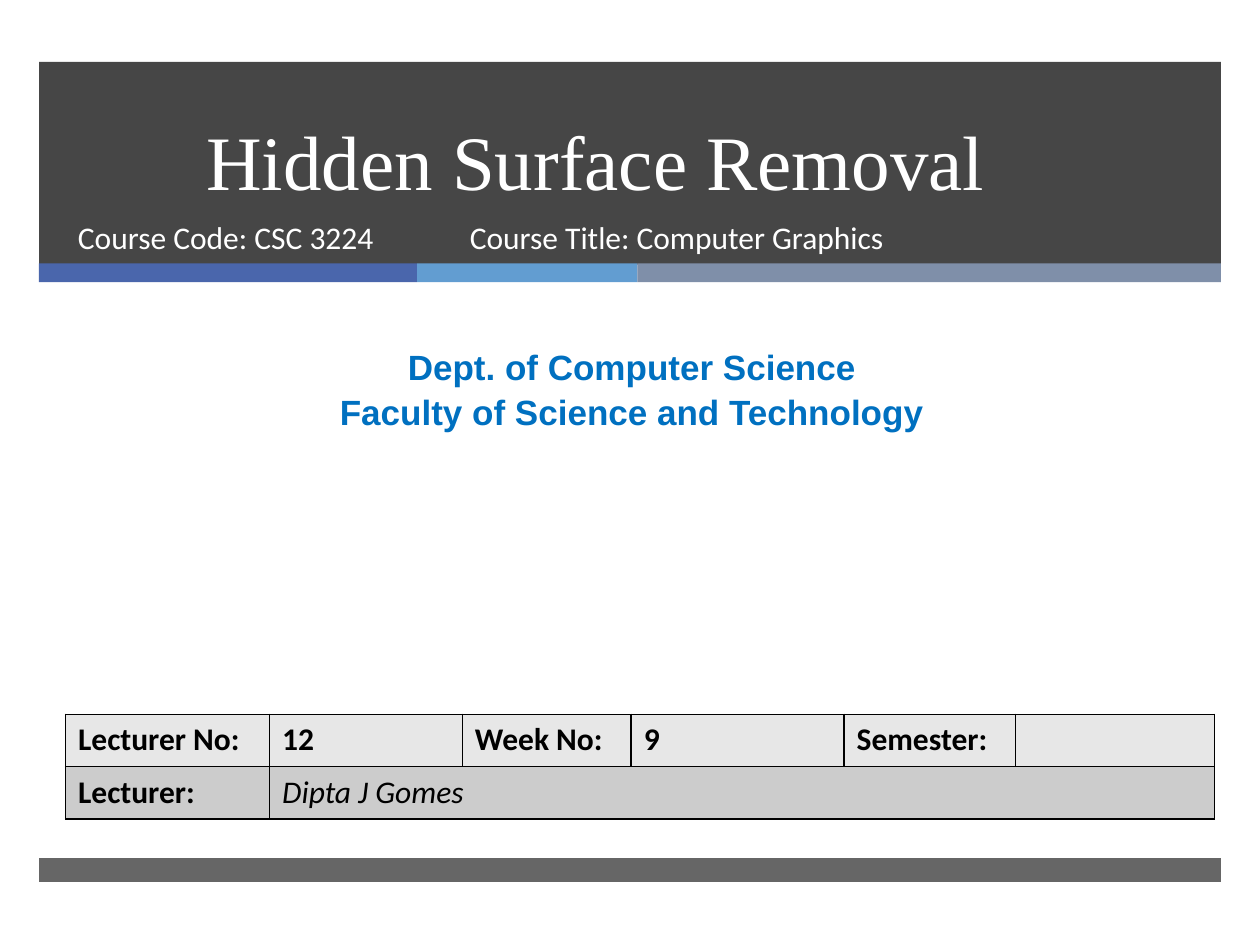
"""Builds the title slide of a computer graphics lecture on hidden surface removal."""
import pptx
import pptx.dml.color
import pptx.enum.shapes
import pptx.enum.text
import pptx.oxml
import pptx.oxml.ns
import pptx.util

Inches = pptx.util.Inches
ALIGN = pptx.enum.text.PP_ALIGN
ANCHOR = pptx.enum.text.MSO_ANCHOR
THEME = {
    "dark": "262626", "stripes": ["4A66AC", "629DD1", "7F8FA9"],
    "rows": ["E7E7E7", "CCCCCC"], "border": "000000",
    "title": {"name": "Times New Roman", "size": 44, "color": "FFFFFF"},
    "course": {"name": "Calibri", "size": 18, "color": "FFFFFF"},
    "department": {"name": "Arial", "size": 20, "color": "0070C0", "bold": True},
    "label": {"name": "Calibri", "size": 18, "color": "000000", "bold": True},
    "lecturer": {"name": "Calibri", "size": 18, "color": "000000", "bold": False, "italic": True},
}


def format_font(font, style):
    """Applies a dict of format values to a font."""
    for key, value in style.items():
        if key == "color":
            font.color.rgb = pptx.dml.color.RGBColor.from_string(value)
        else:
            setattr(font, key, pptx.util.Pt(value) if key == "size" else value)


presentation = pptx.Presentation()
presentation.slide_width, presentation.slide_height = Inches(10), Inches(7.5)
slide = presentation.slides.add_slide(presentation.slide_layouts[6])

left, stripe_top, stripe_height = 0.31, 2.09, 0.15
bands = [(left, 0.49, 9.38, 1.61, THEME["dark"], 85)]
stripe_left = left
for width, color in zip([3, 1.75, 4.63], THEME["stripes"]):
    bands.append((stripe_left, stripe_top, width, stripe_height, color, 100))
    stripe_left += width
bands.append((left, 6.81, 9.38, 0.19, THEME["dark"], 70))

for *box, color, opacity in bands:
    shape = slide.shapes.add_shape(pptx.enum.shapes.MSO_SHAPE.RECTANGLE, *map(Inches, box))
    shape.shadow.inherit = False
    shape.line.fill.background()
    shape.fill.solid()
    shape.fill.fore_color.rgb = pptx.dml.color.RGBColor.from_string(color)
    if opacity < 100:
        color_element = shape.fill._xPr.find(".//" + pptx.oxml.ns.qn("a:srgbClr"))
        alpha = pptx.oxml.parse_xml(f'<a:alpha {pptx.oxml.ns.nsdecls("a")} val="{opacity * 1000}"/>')
        color_element.append(alpha)

texts = [
    ((0.46, 0.49, 8.54, 1.19), ["Hidden Surface Removal"], "title", ALIGN.CENTER, ANCHOR.BOTTOM, 1),
    ((0.52, 1.68, 3.05, 0.53), ["Course Code: CSC 3224"], "course", ALIGN.LEFT, ANCHOR.TOP, 1),
    ((0.08, 2.68, 9.87, 0.77), ["Dept. of Computer Science", "Faculty of Science and Technology"],
     "department", ALIGN.CENTER, ANCHOR.TOP, 1.05),
    ((3.63, 1.68, 4.55, 0.53), ["Course Title: Computer Graphics"], "course", ALIGN.LEFT, ANCHOR.TOP, 1),
]
for box, lines, style, alignment, anchor, spacing in texts:
    frame = slide.shapes.add_textbox(*map(Inches, box)).text_frame
    frame.word_wrap = True
    frame.vertical_anchor = anchor
    frame.text = "\n".join(lines)
    for paragraph in frame.paragraphs:
        paragraph.alignment = alignment
        paragraph.line_spacing = spacing
        format_font(paragraph.runs[0].font, THEME[style])

column_widths = [1.62, 1.53, 1.34, 1.69, 1.36, 1.58]
rows = [["Lecturer No:", "12", "Week No:", "9", "Semester:", ""], ["Lecturer:", "Dipta J Gomes"]]
table = slide.shapes.add_table(
    len(rows), len(column_widths), Inches(0.52), Inches(5.67), Inches(9.12), Inches(0.83)).table
for column, width in zip(table.columns, column_widths):
    column.width = Inches(width)
table.cell(1, 1).merge(table.cell(1, 5))
for row_index, (row, color) in enumerate(zip(rows, THEME["rows"])):
    for column_index in range(len(column_widths)):
        cell = table.cell(row_index, column_index)
        properties = cell._tc.get_or_add_tcPr()
        for side in ["lnL", "lnR", "lnT", "lnB"]:
            properties.append(pptx.oxml.parse_xml(
                f'<a:{side} {pptx.oxml.ns.nsdecls("a")} w="12700"><a:solidFill>'
                f'<a:srgbClr val="{THEME["border"]}"/></a:solidFill></a:{side}>'))
        cell.fill.solid()
        cell.fill.fore_color.rgb = pptx.dml.color.RGBColor.from_string(color)
        if column_index < len(row):
            cell.text = row[column_index]
            style = "lecturer" if cell.is_merge_origin else "label"
            format_font(cell.text_frame.paragraphs[0].font, THEME[style])

presentation.save("out.pptx")
